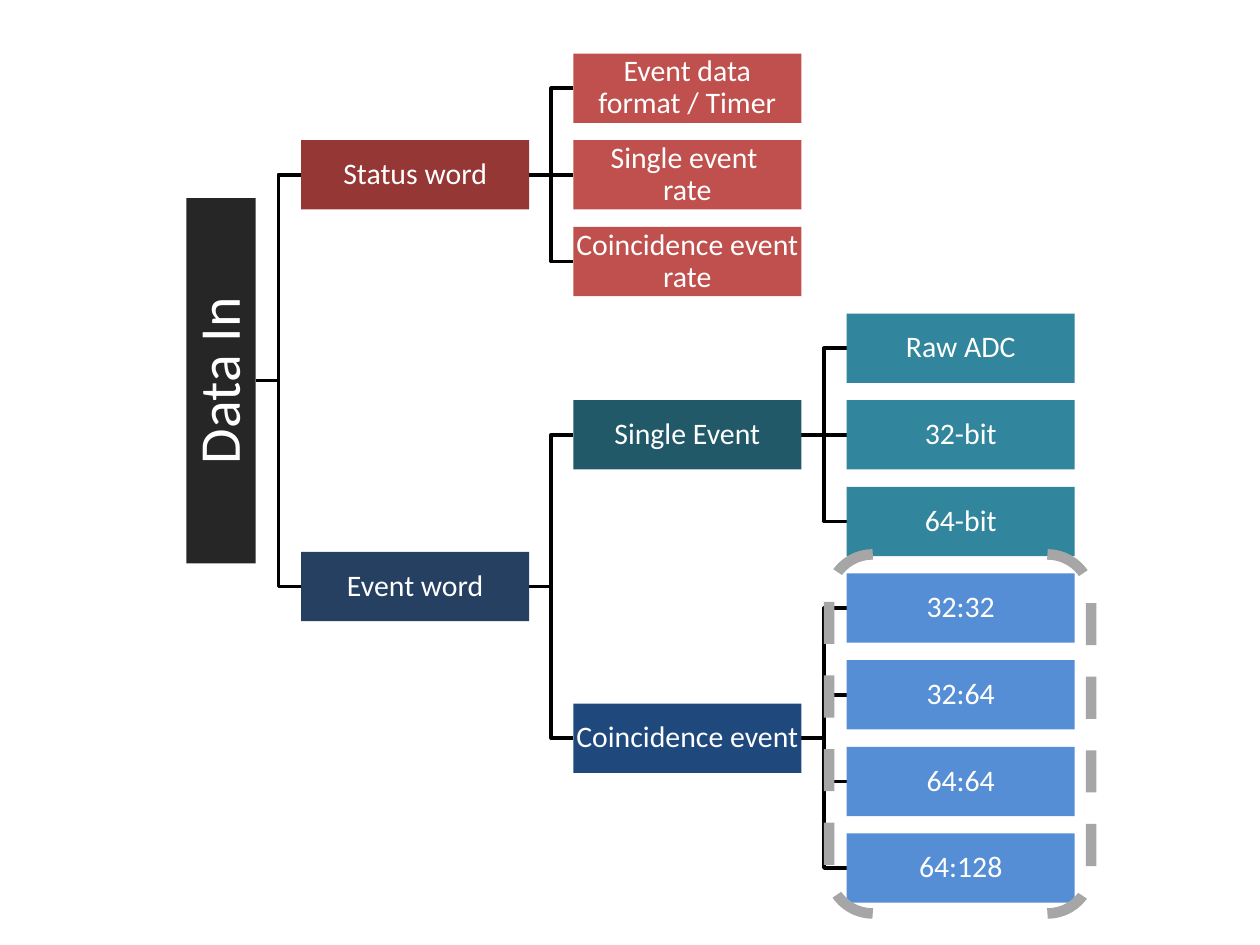
"""Build a slide with a horizontal tree of incoming data words."""
from pptx import Presentation
from pptx.dml.color import RGBColor
from pptx.enum import dml, shapes, text
from pptx.oxml.ns import qn
from pptx.util import Inches, Pt

STATUS, SINGLE, COINCIDENCE = "C0504D", "31859C", "558ED5"
TREE = ("Data In", "262626", [
    ("Status word", "953735", [
        ("Event data format / Timer", STATUS, []),
        ("Single event \vrate", STATUS, []),
        ("Coincidence event rate", STATUS, []),
    ]),
    ("Event word", "254061", [
        ("Single Event", "215968", [
            ("Raw ADC", SINGLE, []),
            ("32-bit", SINGLE, []),
            ("64-bit", SINGLE, []),
        ]),
        ("Coincidence event", "1F497D", [
            ("32:32", COINCIDENCE, []),
            ("32:64", COINCIDENCE, []),
            ("64:64", COINCIDENCE, []),
            ("64:128", COINCIDENCE, []),
        ]),
    ]),
])
BOX_WIDTH, BOX_HEIGHT, ROOT_LENGTH = 1.81, 0.55, 2.9
COLUMN_LEFTS = (1.48, 2.39, 4.55, 6.72)
FIRST_LEAF, LAST_LEAF, LEAF_COUNT = 0.7, 6.89, 10
LEAF_STEP = (LAST_LEAF - FIRST_LEAF) / (LEAF_COUNT - 1)


def color(value):
    return RGBColor.from_string(value)


def place(node, level, boxes, links, leaves):
    """Record a node and its links, and return its vertical centre."""
    label, fill, children = node
    left = COLUMN_LEFTS[level]
    right = left + (BOX_WIDTH if level else BOX_HEIGHT)
    index = len(boxes)
    boxes.append(None)
    centers = [place(child, level + 1, boxes, links, leaves) for child in children]
    if centers:
        center = sum(centers) / len(centers)
    else:
        center = FIRST_LEAF + LEAF_STEP * len(leaves)
        leaves.append(label)
    boxes[index] = (label, fill, (left + right) / 2, center, level == 0)
    links += [(right, center, COLUMN_LEFTS[level + 1], end) for end in centers]
    return center


def add_link(slide, left, start, right, end):
    straight = abs(start - end) < 0.01
    kind = shapes.MSO_CONNECTOR.STRAIGHT if straight else shapes.MSO_CONNECTOR.ELBOW
    link = slide.shapes.add_connector(
        kind, Inches(left), Inches(start), Inches(right), Inches(end))
    link.line.color.rgb = color("000000")
    link.line.width = Pt(2)
    properties = link._element.spPr
    properties.append(properties.makeelement(qn("a:effectLst"), {}))


def add_box(slide, label, fill, x, y, is_root):
    width = ROOT_LENGTH if is_root else BOX_WIDTH
    box = slide.shapes.add_shape(
        shapes.MSO_SHAPE.RECTANGLE, Inches(x - width / 2), Inches(y - BOX_HEIGHT / 2),
        Inches(width), Inches(BOX_HEIGHT))
    box.shadow.inherit = False
    box.rotation = 270 if is_root else 0
    box.fill.solid()
    box.fill.fore_color.rgb = color(fill)
    box.line.fill.background()
    frame = box.text_frame
    frame.text = label
    frame.word_wrap = True
    frame.vertical_anchor = text.MSO_ANCHOR.MIDDLE
    inset = Inches(0.02 if is_root else 0.01)
    frame.margin_left = frame.margin_right = inset
    frame.margin_top = frame.margin_bottom = inset
    paragraph = frame.paragraphs[0]
    paragraph.alignment = text.PP_ALIGN.CENTER
    paragraph.line_spacing = 0.9
    for run in paragraph.runs:
        run.font.name = "Calibri"
        run.font.size = Pt(33 if is_root else 17)
        run.font.color.rgb = color("FFFFFF")


def add_bracket(slide):
    bracket = slide.shapes.add_shape(
        shapes.MSO_SHAPE.DOUBLE_BRACKET,
        Inches(6.58), Inches(4.4), Inches(2.08), Inches(2.85))
    bracket.shadow.inherit = False
    bracket.fill.background()
    bracket.line.color.rgb = color("A6A6A6")
    bracket.line.width = Pt(6)
    bracket.line.dash_style = dml.MSO_LINE.DASH


presentation = Presentation()
presentation.slide_width, presentation.slide_height = Inches(10), Inches(7.5)
slide = presentation.slides.add_slide(presentation.slide_layouts[6])
boxes, links = [], []
place(TREE, 0, boxes, links, [])
for link in links:
    add_link(slide, *link)
for box in boxes:
    add_box(slide, *box)
add_bracket(slide)
presentation.save("out.pptx")
